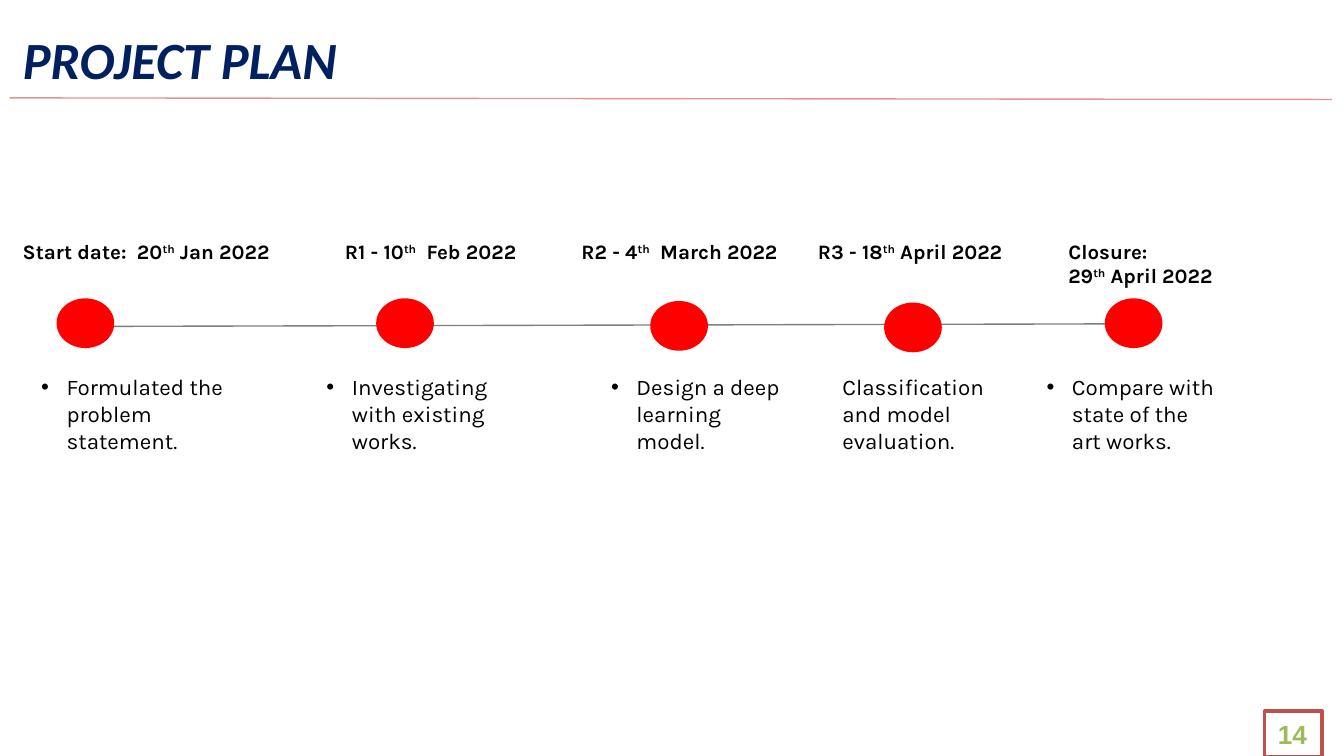
from dataclasses import dataclass
from typing import NamedTuple

from lxml import etree
from pptx import Presentation
from pptx.dml.color import RGBColor
from pptx.enum.shapes import MSO_CONNECTOR, MSO_SHAPE
from pptx.enum.text import MSO_ANCHOR, MSO_AUTO_SIZE, PP_ALIGN
from pptx.oxml.ns import qn
from pptx.util import Cm, Pt

STRAIGHT = MSO_CONNECTOR.STRAIGHT
RECTANGLE, OVAL = MSO_SHAPE.RECTANGLE, MSO_SHAPE.OVAL
TOP, MIDDLE = MSO_ANCHOR.TOP, MSO_ANCHOR.MIDDLE
LEFT = PP_ALIGN.LEFT
NO_AUTOFIT = MSO_AUTO_SIZE.NONE
TITLE_ONLY = 5


@dataclass(frozen=True)
class Theme:
    """Colours, fonts and type sizes of the slide."""
    title: str = "002060"
    title_rule: str = "E4948A"
    text: str = "000000"
    timeline: str = "7F7F7F"
    dot: str = "FF0000"
    paper: str = "FFFFFF"
    page_border: str = "C0504D"
    page_number: str = "9BBB59"
    title_font: str = "Calibri"
    body_font: str = "Karla"
    page_font: str = "Arial"
    title_size: int = 28
    date_size: int = 11
    task_size: int = 12
    page_size: int = 14


class Box(NamedTuple):
    """A place on the slide in centimetres."""
    left: float
    top: float
    width: float
    height: float

    def emu(self):
        """Return the four lengths for python-pptx."""
        return [Cm(length) for length in self]


class Milestone(NamedTuple):
    """A dated step with the boxes of its parts."""
    date: str
    date_box: Box
    dot_box: Box
    task: str
    task_box: Box
    bulleted: bool = True


THEME = Theme()
DATE_TOP, TASK_TOP = 4.39, 6.93
DOT_WIDTH, DOT_HEIGHT = 1.09, 0.94
BULLET_INDENT = 0.48


def milestone(date, date_place, dot_place, task, task_place, bulleted=True):
    """Make a milestone from (left, width, height) and (left, top) places."""
    date_left, date_width, date_height = date_place
    task_left, task_width, task_height = task_place
    return Milestone(
        date, Box(date_left, DATE_TOP, date_width, date_height),
        Box(*dot_place, DOT_WIDTH, DOT_HEIGHT),
        task, Box(task_left, TASK_TOP, task_width, task_height), bulleted)


MILESTONES = [
    milestone("Start date:  20^th^ Jan 2022", (0.18, 5.38, 2), (1.07, 5.64),
              "Formulated the problem statement.", (0.53, 4.27, 1.8)),
    milestone("R1 - 10^th^  Feb 2022", (6.27, 4.17, 2), (7.11, 5.64),
              "Investigating with existing works.", (5.92, 4.27, 2)),
    milestone("R2 - 4^th^  March 2022", (10.74, 4.27, 2), (12.29, 5.69),
              "Design a deep learning model.", (11.3, 3.94, 6.15)),
    milestone("R3 - 18^th^ April 2022", (15.21, 4.55, 1.27), (16.71, 5.72),
              "Classification and model evaluation.", (15.67, 3.78, 6.15), False),
    milestone("Closure:\n29^th^ April 2022", (19.94, 3.96, 3.2), (20.88, 5.64),
              "Compare with state of the art works.", (19.53, 3.78, 6.15)),
]


def rgb(colour):
    """Turn a hex string into a colour."""
    return RGBColor.from_string(colour)


def add_bullet(paragraph, colour):
    """Give a paragraph a round bullet with a hanging indent."""
    properties = paragraph._p.get_or_add_pPr()
    properties.set("marL", str(Cm(BULLET_INDENT)))
    properties.set("indent", str(-Cm(BULLET_INDENT)))
    bullet_colour = etree.SubElement(properties, qn("a:buClr"))
    etree.SubElement(bullet_colour, qn("a:srgbClr"), val=colour)
    etree.SubElement(properties, qn("a:buFont"), typeface="Arial")
    etree.SubElement(properties, qn("a:buChar"), char="•")


def write_text(shape, text, *, font, size, colour=THEME.text, bold=False,
               italic=False, bulleted=False, anchor=TOP):
    """Fill a shape with formatted text; carets enclose superscripts."""
    frame = shape.text_frame
    frame.word_wrap = True
    frame.auto_size = NO_AUTOFIT
    frame.vertical_anchor = anchor
    for index, line in enumerate(text.split("\n")):
        paragraph = frame.add_paragraph() if index else frame.paragraphs[0]
        paragraph.alignment = LEFT
        if bulleted:
            add_bullet(paragraph, colour)
        for position, part in enumerate(line.split("^")):
            run = paragraph.add_run()
            run.text = part
            run.font.name = font
            run.font.size = Pt(size)
            run.font.bold = bold
            run.font.italic = italic
            run.font.color.rgb = rgb(colour)
            if position % 2:
                run._r.get_or_add_rPr().set("baseline", "30000")


def add_rule(slide, start, end, colour):
    """Draw a thin straight line without a shadow."""
    rule = slide.shapes.add_connector(
        STRAIGHT, *[Cm(length) for length in (*start, *end)])
    rule.line.color.rgb = rgb(colour)
    rule.line.width = Pt(0.75)
    etree.SubElement(rule._element.spPr, qn("a:effectLst"))


def add_filled(slide, kind, box, fill):
    """Draw a flat shape without an outline."""
    shape = slide.shapes.add_shape(kind, *box.emu())
    shape.shadow.inherit = False
    shape.fill.solid()
    shape.fill.fore_color.rgb = rgb(fill)
    shape.line.fill.background()
    return shape


def add_header(slide, box):
    """Place the title and the rule under it."""
    title = slide.shapes.title
    title.left, title.top, title.width, title.height = box.emu()
    write_text(title, "PROJECT PLAN", font=THEME.title_font, size=THEME.title_size,
               colour=THEME.title, bold=True, italic=True)
    rule_top = box.top + box.height + 0.07
    add_rule(slide, (box.left, rule_top),
             (box.left + box.width + 0.17, rule_top + 0.03), THEME.title_rule)


def add_milestone(slide, step):
    """Place the date, dot and task of one milestone."""
    date = slide.shapes.add_textbox(*step.date_box.emu())
    write_text(date, step.date, font=THEME.body_font, size=THEME.date_size, bold=True)
    add_filled(slide, OVAL, step.dot_box, THEME.dot)
    task = slide.shapes.add_textbox(*step.task_box.emu())
    write_text(task, step.task, font=THEME.body_font, size=THEME.task_size,
               bulleted=step.bulleted)


def add_timeline(slide, box):
    """Place the line across the box and the milestones along it."""
    add_rule(slide, (box.left + box.width, box.top),
             (box.left, box.top + box.height), THEME.timeline)
    for step in MILESTONES:
        add_milestone(slide, step)


def add_page_number(slide, box):
    """Place the framed page number."""
    frame = add_filled(slide, RECTANGLE, box, THEME.paper)
    frame.line.color.rgb = rgb(THEME.page_border)
    frame.line.width = Pt(2)
    write_text(frame, "14", font=THEME.page_font, size=THEME.page_size,
               colour=THEME.page_number, bold=True, anchor=MIDDLE)


def main():
    """Build and save the slide."""
    deck = Presentation()
    deck.slide_width, deck.slide_height = Cm(25.4), Cm(14.29)
    slide = deck.slides.add_slide(deck.slide_layouts[TITLE_ONLY])
    add_header(slide, Box(0.18, 0.38, 24.82, 1.4))
    add_page_number(slide, Box(23.9, 13.44, 1.09, 0.86))
    add_timeline(slide, Box(1.7, 6.12, 20.02, 0.05))
    deck.save("out.pptx")


if __name__ == "__main__":
    main()
